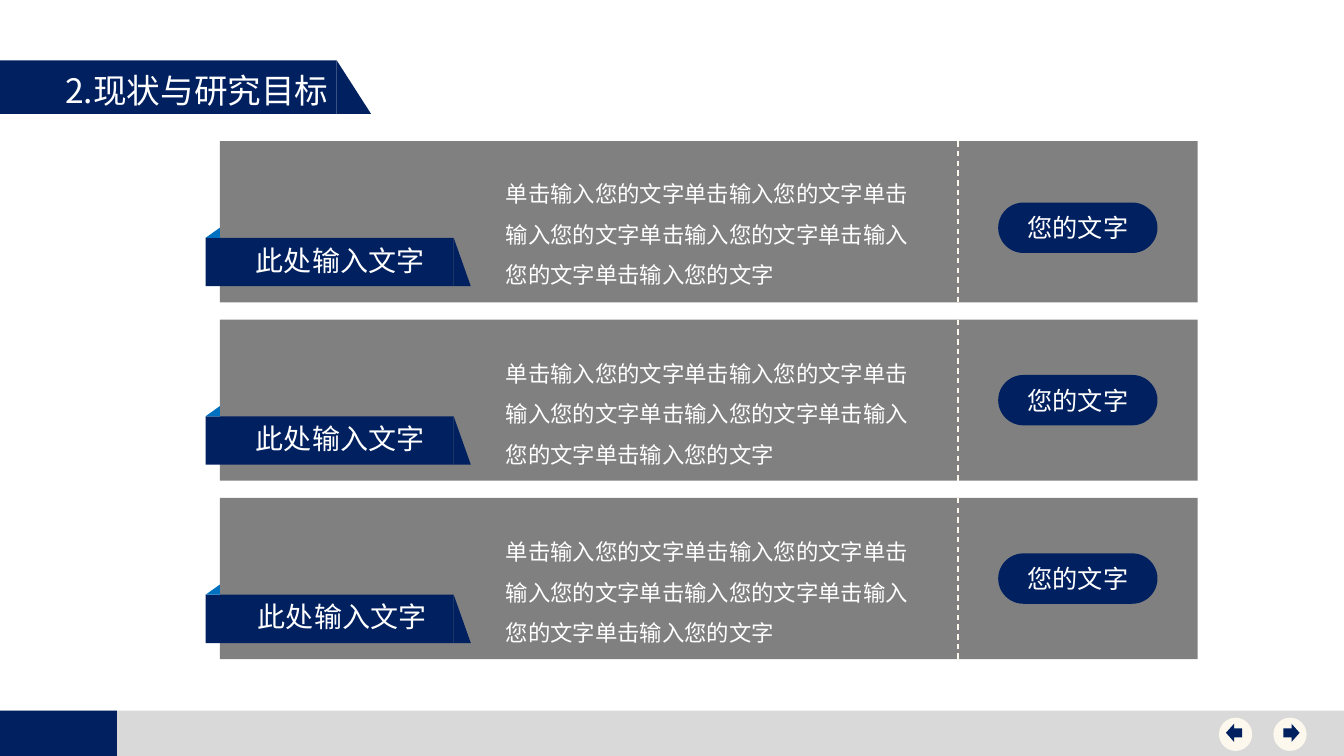
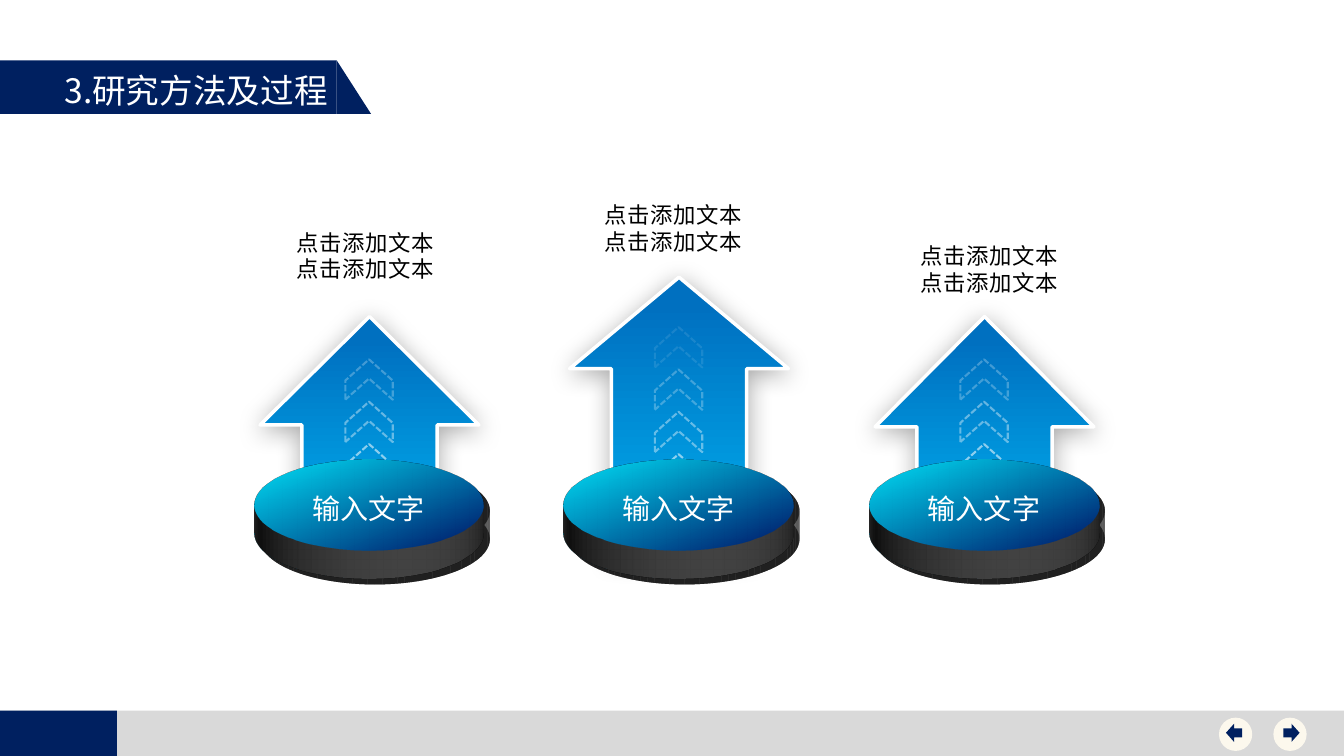
from lxml import etree
from pptx import Presentation
from pptx import util as u
from pptx.dml.color import RGBColor
from pptx.enum import dml, shapes as s, text as t
from pptx.oxml import ns

NAVY = RGBColor(0x00, 0x20, 0x60)
BLUE = RGBColor(0x00, 0x70, 0xC0)
SKY = RGBColor(0x00, 0xB0, 0xF0)
CYAN = RGBColor(0x00, 0xDF, 0xF6)
DEEP = RGBColor(0x00, 0x27, 0x74)
GREY = RGBColor(0x80, 0x80, 0x80)
SILVER = RGBColor(0xD9, 0xD9, 0xD9)
CREAM = RGBColor(0xFC, 0xF8, 0xED)
WHITE = RGBColor(0xFF, 0xFF, 0xFF)
BLACK = RGBColor(0, 0, 0)
FONT = "Noto Sans CJK SC"
SHAPE = s.MSO_SHAPE

TITLES = [("2.现状与研究目标", 0.55, 3.13), ("3.研究方法及过程", 0.54, 3.15)]
NAV_BUTTONS = [
    (12.63, 12.73, SHAPE.RIGHT_ARROW),
    (12.09, 12.16, SHAPE.LEFT_ARROW),
]

CARD_TOP, CARD_PITCH, CARD_HEIGHT = 1.4, 1.77, 1.6
CARD_BODY = "单击输入您的文字" * 6
CARDS = [
    {"label": "此处输入文字", "label_at": (2.44, 0.97), "pill": "您的文字",
     "pill_drop": 0.61, "body_drop": 0.21},
    {"label": "此处输入文字", "label_at": (2.44, 0.96), "pill": "您的文字",
     "pill_drop": 0.55, "body_drop": 0.22},
    {"label": "此处输入文字", "label_at": (2.46, 0.96), "pill": "您的文字",
     "pill_drop": 0.55, "body_drop": 0.22},
]

CAPTION = ["点击添加文本", "点击添加文本"]
DISC_LABEL = "输入文字"
CHEVRON_PITCH = 0.42
COLUMNS = [
    {"center": 3.66, "arrow": (3.14, 2.25, 0.496), "chevron_top": 4.37,
     "strengths": [55, 40, 25], "caption": (2.51, 2.22, 2.23)},
    {"center": 6.73, "arrow": (2.75, 2.75, 0.418), "chevron_top": 4.47,
     "strengths": [55, 40, 25, 10], "caption": (5.74, 1.95, 1.87)},
    {"center": 9.76, "arrow": (3.14, 2.25, 0.504), "chevron_top": 4.37,
     "strengths": [55, 40, 25], "caption": (8.88, 2.35, 1.86)},
]
DISC_WIDTH, DISC_HEIGHT, DISC_TOP = 2.28, 2.1, 3.96
DISC_DEPTH, DISC_TILT = 0.31, 295.4


def inches(*lengths):
    return [u.Inches(length) for length in lengths]


def gradient(shape, start, end, end_position, clockwise):
    shape.fill.gradient()
    shape.fill.gradient_angle = (360 - clockwise) % 360
    first, last = shape.fill.gradient_stops
    first.color.rgb, first.position = start, 0
    last.color.rgb, last.position = end, end_position


def outline(shape, width, dash=None):
    shape.line.color.rgb = WHITE
    shape.line.width = u.Pt(width)
    if dash:
        shape.line.dash_style = dash


def block(slide, kind, box, color=None):
    shape = slide.shapes.add_shape(kind, *inches(*box))
    shape.shadow.inherit = False
    shape.line.fill.background()
    if color is None:
        shape.fill.background()
    else:
        shape.fill.solid()
        shape.fill.fore_color.rgb = color
    return shape


def write(shape, lines, size, color=WHITE, align=t.PP_ALIGN.LEFT, spacing=None, tracking=None):
    frame = shape.text_frame
    frame.word_wrap = True
    for index, line in enumerate(lines):
        paragraph = frame.add_paragraph() if index else frame.paragraphs[0]
        paragraph.alignment = align
        if spacing:
            paragraph.line_spacing = spacing
        run = paragraph.add_run()
        run.text = line
        run.font.size = u.Pt(size)
        run.font.name = FONT
        run.font.color.rgb = color
        properties = run.font._element
        etree.SubElement(properties, ns.qn("a:ea"), typeface=FONT)
        if tracking:
            properties.set("spc", str(round(tracking * 100)))


def words(slide, box, lines, size, **style):
    write(slide.shapes.add_textbox(*inches(*box)), lines, size, **style)


def soft_shadow(shape, opacity, blur, distance, angle):
    effects = shape._element.spPr.find(ns.qn("a:effectLst"))
    outer = etree.SubElement(
        effects, ns.qn("a:outerShdw"), blurRad=str(u.Pt(blur)), dist=str(u.Pt(distance)),
        dir=str(angle * 60000), algn="ctr", rotWithShape="0")
    color = etree.SubElement(outer, ns.qn("a:srgbClr"), val=str(BLACK))
    etree.SubElement(color, ns.qn("a:alpha"), val=str(opacity * 1000))


def extrude(shape, depth, tilt, color):
    properties = shape._element.spPr
    scene = etree.SubElement(properties, ns.qn("a:scene3d"))
    camera = etree.SubElement(scene, ns.qn("a:camera"), prst="orthographicFront")
    etree.SubElement(camera, ns.qn("a:rot"), lat=str(round(tilt * 60000)), lon="0", rev="0")
    etree.SubElement(scene, ns.qn("a:lightRig"), rig="threePt", dir="t")
    solid = etree.SubElement(properties, ns.qn("a:sp3d"),
                             extrusionH=str(u.Inches(depth)), prstMaterial="matte")
    side = etree.SubElement(solid, ns.qn("a:extrusionClr"))
    etree.SubElement(side, ns.qn("a:srgbClr"), val=str(color))


def dashed_divider(slide, x, top, bottom):
    divider = slide.shapes.add_connector(s.MSO_CONNECTOR.STRAIGHT, *inches(x, top, x, bottom))
    divider.line.color.rgb = CREAM
    divider.line.width = u.Pt(1)
    divider.line.dash_style = dml.MSO_LINE.DASH
    etree.SubElement(divider._element.spPr, ns.qn("a:effectLst"))


def themed_slide(deck, title, title_left, title_width):
    slide = deck.slides.add_slide(deck.slide_layouts[6])
    block(slide, SHAPE.RECTANGLE, (0, 7.05, 13.33, 0.46), SILVER)
    block(slide, SHAPE.RECTANGLE, (0, 7.05, 1.16, 0.46), NAVY)
    block(slide, SHAPE.RECTANGLE, (0, 0.6, 3.34, 0.53), NAVY)
    block(slide, SHAPE.RIGHT_TRIANGLE, (3.34, 0.6, 0.34, 0.53), NAVY)
    words(slide, (title_left, 0.64, title_width, 0.5), [title], 24)
    for button_left, arrow_left, arrow in NAV_BUTTONS:
        block(slide, SHAPE.OVAL, (button_left, 7.12, 0.33, 0.33), CREAM)
        block(slide, arrow, (arrow_left, 7.18, 0.16, 0.18), NAVY)
    return slide


def card(slide, top, content):
    ribbon_top = top + 0.96
    label_left, label_drop = content["label_at"]
    block(slide, SHAPE.RECTANGLE, (2.18, top, 9.7, CARD_HEIGHT), GREY)
    block(slide, SHAPE.RECTANGLE, (2.04, ribbon_top, 2.46, 0.48), NAVY)
    block(slide, SHAPE.RIGHT_TRIANGLE, (4.5, ribbon_top, 0.17, 0.48), NAVY)
    fold = block(slide, SHAPE.RIGHT_TRIANGLE, (2.04, ribbon_top - 0.1, 0.14, 0.1), BLUE)
    fold._element.spPr.xfrm.set("flipH", "1")
    dashed_divider(slide, 9.5, top, top + CARD_HEIGHT)
    words(slide, (label_left, top + label_drop, 1.92, 0.44), [content["label"]], 20)
    pill = block(slide, SHAPE.ROUNDED_RECTANGLE,
                 (9.9, top + content["pill_drop"], 1.58, 0.5), NAVY)
    pill.adjustments[0] = 0.5
    pill.text_frame.vertical_anchor = t.MSO_ANCHOR.MIDDLE
    write(pill, [content["pill"]], 18, align=t.PP_ALIGN.CENTER)
    words(slide, (4.92, top + content["body_drop"], 4.23, 1.27), [CARD_BODY], 16, spacing=1.5)


def rising_arrow(slide, column):
    center = column["center"]
    top, height, head = column["arrow"]
    arrow = block(slide, SHAPE.UP_ARROW, (center - 1.08, top, 2.17, height), SKY)
    arrow.adjustments[0], arrow.adjustments[1] = 0.619, head
    gradient(arrow, SKY, BLUE, 0.9, 270)
    outline(arrow, 2.5)
    soft_shadow(arrow, 33, 17.8, 3, 87)
    for step, strength in enumerate(column["strengths"]):
        chevron_top = column["chevron_top"] - step * CHEVRON_PITCH
        chevron = block(slide, SHAPE.CHEVRON, (center - 0.2, chevron_top, 0.4, 0.47))
        chevron.rotation = 270
        chevron.adjustments[0] = 0.525
        outline(chevron, 1.5, dml.MSO_LINE.SQUARE_DOT)
        color = chevron.line._ln.find(".//" + ns.qn("a:srgbClr"))
        etree.SubElement(color, ns.qn("a:alpha"), val=str(strength * 1000))


def disc(slide, center):
    face = block(slide, SHAPE.OVAL,
                 (center - DISC_WIDTH / 2, DISC_TOP, DISC_WIDTH, DISC_HEIGHT), CYAN)
    gradient(face, CYAN, DEEP, 0.9, 45)
    outline(face, 2)
    soft_shadow(face, 40, 10, 6, 45)
    extrude(face, DISC_DEPTH, DISC_TILT, GREY)
    words(slide, (center - 0.85, 4.83, 1.7, 0.44), [DISC_LABEL], 20, align=t.PP_ALIGN.CENTER)


deck = Presentation()
deck.slide_width, deck.slide_height = inches(13.33, 7.5)

goals = themed_slide(deck, *TITLES[0])
for row, content in enumerate(CARDS):
    card(goals, CARD_TOP + row * CARD_PITCH, content)

methods = themed_slide(deck, *TITLES[1])
for column in COLUMNS:
    rising_arrow(methods, column)
    left, top, width = column["caption"]
    words(methods, (left, top, width, 0.64), CAPTION, 16, color=BLACK,
          align=t.PP_ALIGN.CENTER, tracking=0.5)
    disc(methods, column["center"])

deck.save("out.pptx")
